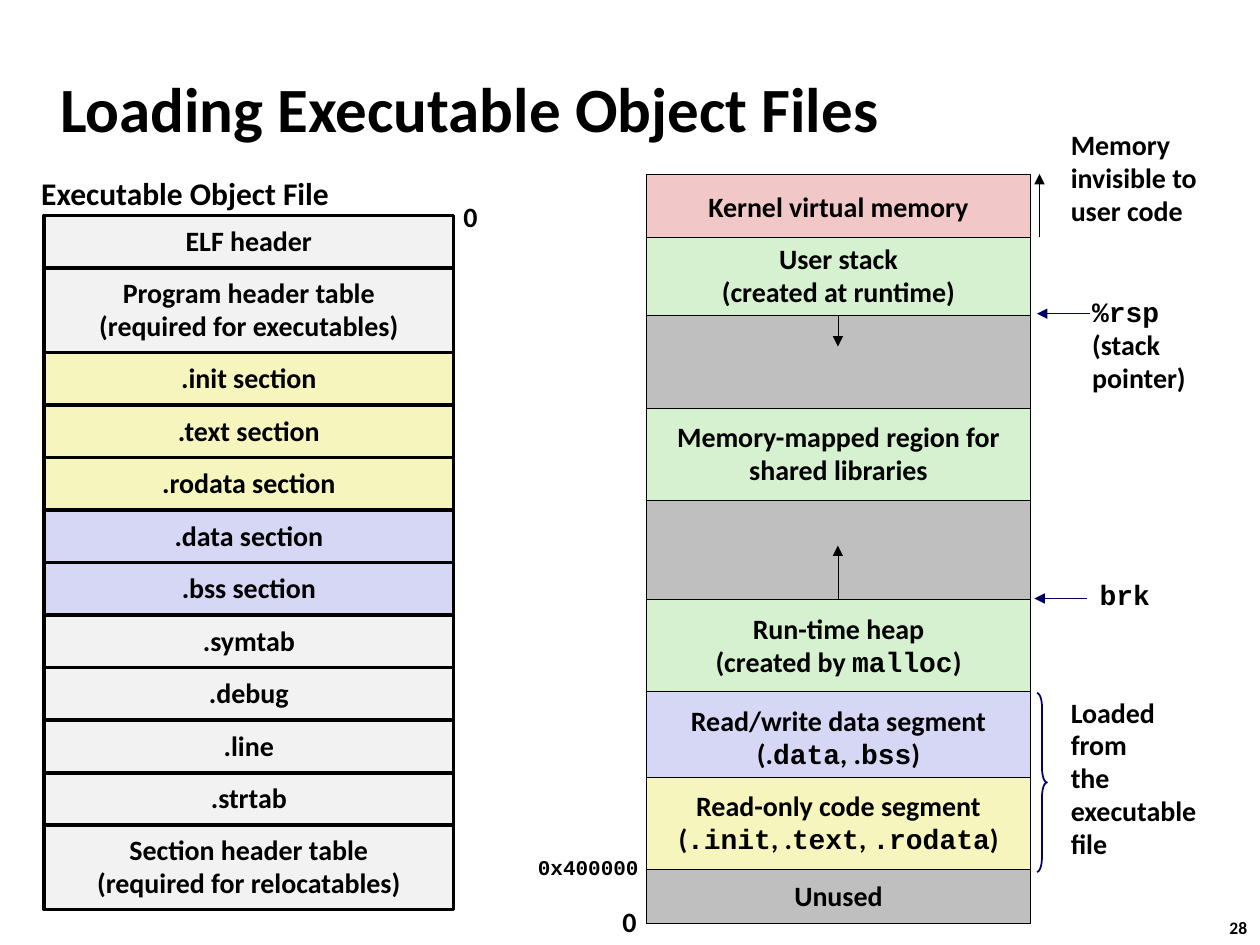
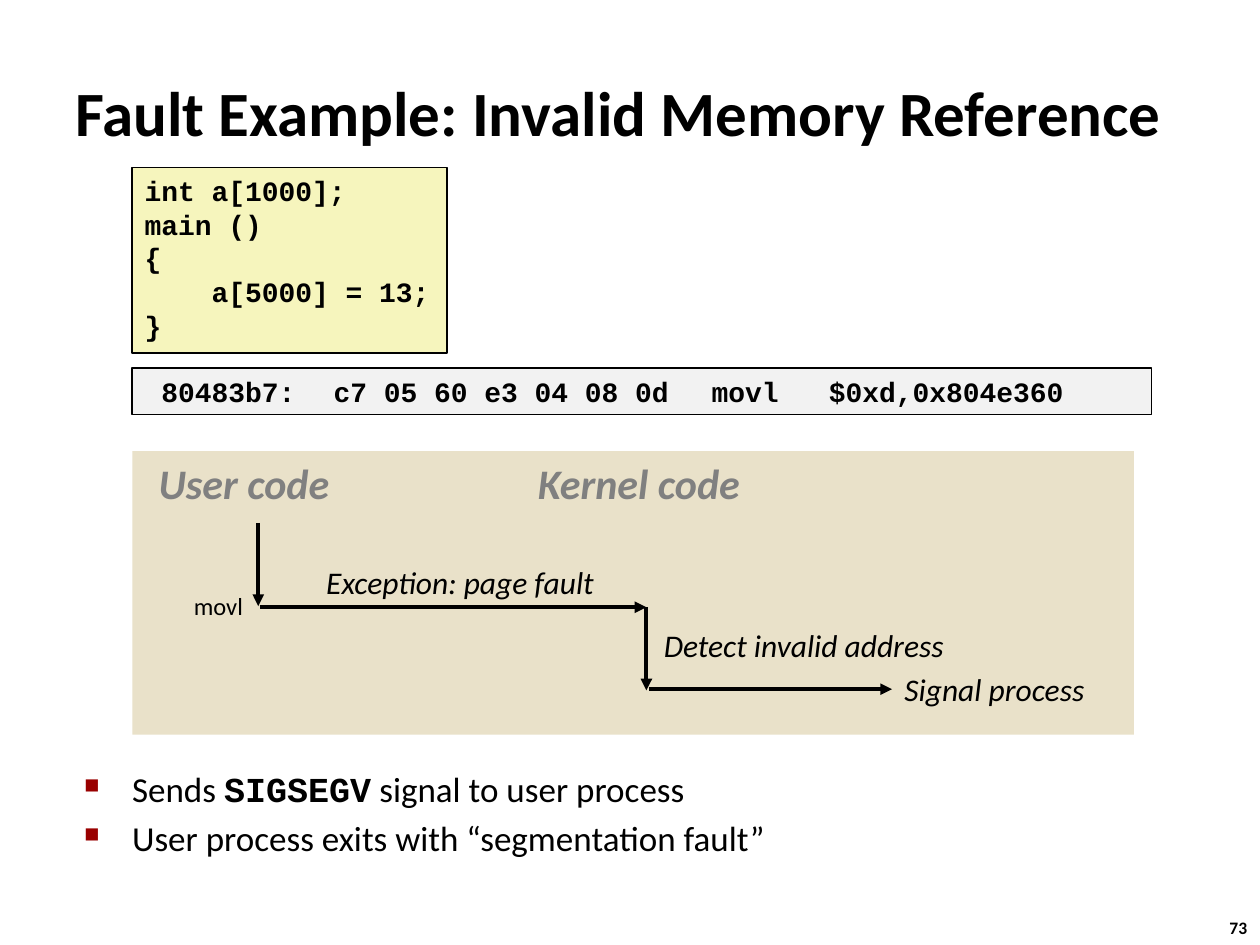
from dataclasses import dataclass, replace
from typing import NamedTuple

from lxml import etree
from pptx import Presentation
from pptx.dml.color import RGBColor
from pptx.enum.shapes import MSO_CONNECTOR, MSO_SHAPE
from pptx.enum.text import MSO_ANCHOR, MSO_AUTO_SIZE, PP_ALIGN
from pptx.oxml.ns import qn
from pptx.util import Inches, Pt


@dataclass(frozen=True)
class Theme:
    sans: str = "Calibri"
    mono: str = "Courier New"
    black: str = "000000"
    navy: str = "000066"
    muted: str = "808080"
    bullet: str = "990000"
    light: str = "F2F2F2"
    gray: str = "BFBFBF"
    yellow: str = "F6F5BD"
    blue: str = "D6D6F5"
    green: str = "D5F1CF"
    red: str = "F1C7C7"
    tan: str = "E9E1C9"
    title: int = 36
    heading: int = 24
    body: int = 20
    caption: int = 18
    label: int = 16
    small: int = 14
    address: int = 12
    footer: int = 10


T = Theme()


@dataclass(frozen=True)
class Style:
    size: int = T.label
    font: str = T.sans
    color: str = T.black
    bold: bool = True
    italic: bool = False
    align: PP_ALIGN = PP_ALIGN.LEFT
    spacing: float = 1.0


TITLE = Style(T.title)
FOOTER = Style(T.footer)
LABEL = Style(spacing=0.98)
CELL = replace(LABEL, align=PP_ALIGN.CENTER)
CODE = Style(font=T.mono)
HEADING = Style(T.heading, color=T.muted, italic=True)
STEP = Style(T.caption, bold=False, italic=True)
BODY = Style(T.body, bold=False)


class Box(NamedTuple):
    left: float
    top: float
    width: float
    height: float


class Section(NamedTuple):
    text: str
    fill: str
    height: float


class Region(NamedTuple):
    top: float
    height: float
    fill: str
    text: str = ""


class Label(NamedTuple):
    box: Box
    text: str
    style: Style = LABEL
    wrap: bool = False


class Arrow(NamedTuple):
    x1: float
    y1: float
    x2: float
    y2: float
    color: str = T.black
    width: float = 0.25


def rgb(value: str) -> RGBColor:
    return RGBColor.from_string(value)


def write(tf, text: str, style: Style) -> None:
    """Lines are split on newlines; backticks switch to bold mono text."""
    for i, line in enumerate(text.split("\n")):
        p = tf.paragraphs[0] if i == 0 else tf.add_paragraph()
        p.alignment = style.align
        mono_line = line.startswith("`") and style.spacing < 1
        p.line_spacing = 0.94 if mono_line else style.spacing
        for j, part in enumerate(line.split("`")):
            if not part:
                continue
            mono = j % 2 == 1
            r = p.add_run()
            r.text = part
            r.font.name = T.mono if mono else style.font
            r.font.size = Pt(style.size)
            r.font.bold = style.bold or mono
            r.font.italic = style.italic
            r.font.color.rgb = rgb(style.color)


def add_text(slide, box: Box, text: str, style: Style,
             wrap: bool = False, grow: bool = True):
    sp = slide.shapes.add_textbox(*map(Inches, box))
    tf = sp.text_frame
    tf.word_wrap = wrap
    tf.auto_size = MSO_AUTO_SIZE.SHAPE_TO_FIT_TEXT if grow else MSO_AUTO_SIZE.NONE
    write(tf, text, style)
    return sp


def add_box(slide, box: Box, fill: str, line: float = 0, text: str = "",
            style: Style = CELL, anchor: MSO_ANCHOR = MSO_ANCHOR.MIDDLE) -> None:
    sp = slide.shapes.add_shape(MSO_SHAPE.RECTANGLE, *map(Inches, box))
    sp.shadow.inherit = False
    sp.fill.solid()
    sp.fill.fore_color.rgb = rgb(fill)
    if line:
        sp.line.color.rgb = rgb(T.black)
        sp.line.width = Pt(line)
    else:
        sp.line.fill.background()
    if text:
        tf = sp.text_frame
        tf.word_wrap = False
        tf.vertical_anchor = anchor
        write(tf, text, style)


def add_arrow(slide, a: Arrow) -> None:
    cn = slide.shapes.add_connector(
        MSO_CONNECTOR.STRAIGHT, *map(Inches, (a.x1, a.y1, a.x2, a.y2)))
    cn.line.color.rgb = rgb(a.color)
    cn.line.width = Pt(a.width)
    etree.SubElement(cn.line._get_or_add_ln(), qn("a:tailEnd"), type="triangle")
    etree.SubElement(cn._element.spPr, qn("a:effectLst"))


def add_bullets(slide, box: Box, text: str) -> None:
    sp = add_text(slide, box, text, BODY, wrap=True, grow=False)
    for i, p in enumerate(sp.text_frame.paragraphs):
        if i:
            p.space_before = Pt(4)
        pPr = p._p.get_or_add_pPr()
        pPr.set("marL", str(Inches(0.38)))
        pPr.set("indent", str(-Inches(0.38)))
        color = etree.SubElement(pPr, qn("a:buClr"))
        etree.SubElement(color, qn("a:srgbClr"), val=T.bullet)
        etree.SubElement(pPr, qn("a:buSzPct"), val="60000")
        etree.SubElement(pPr, qn("a:buChar"), char="■")


def new_slide(prs, title: str, title_box: Box, number: int):
    slide = prs.slides.add_slide(prs.slide_layouts[6])
    add_text(slide, Box(9.66, 7.23, 0.37, 0.27), str(number), FOOTER)
    sp = add_text(slide, title_box, title, TITLE, wrap=True, grow=False)
    sp.text_frame.vertical_anchor = MSO_ANCHOR.MIDDLE
    return slide


ROW, TALL_ROW = 0.417, 0.67
FILE_SECTIONS = [
    Section("ELF header", T.light, ROW),
    Section("Program header table\n(required for executables)", T.light, TALL_ROW),
    *(Section(f".{name} section", T.yellow, ROW) for name in ("init", "text", "rodata")),
    *(Section(f".{name} section", T.blue, ROW) for name in ("data", "bss")),
    *(Section(f".{name}", T.light, ROW) for name in ("symtab", "debug", "line", "strtab")),
    Section("Section header table\n(required for relocatables)", T.light, TALL_ROW),
]
MEMORY_REGIONS = [
    Region(1.38, 0.53, T.red, "Kernel virtual memory"),
    Region(2.25, 0.99, T.gray),
    Region(1.88, 0.62, T.green, "User stack\n(created at runtime)"),
    Region(3.24, 0.73, T.green, "Memory-mapped region for\nshared libraries"),
    Region(3.97, 0.79, T.gray),
    Region(4.76, 0.73, T.green, "Run-time heap\n(created by `malloc`)"),
    Region(5.49, 0.73, T.blue, "Read/write data segment\n(.`data`, .`bss`)"),
    Region(6.17, 0.73, T.yellow,
           "Read-only code segment\n(`.init`, .`text`, `.rodata`)"),
    Region(6.9, 0.43, T.gray, "Unused"),
]
MEMORY_LABELS = [
    Label(Box(3.58, 1.55, 0.31, 0.37), "0"),
    Label(Box(0.22, 1.35, 2.5, 0.4), "Executable Object File",
          replace(CELL, size=T.caption)),
    Label(Box(4.84, 7.14, 0.31, 0.37), "0"),
    Label(Box(4.17, 6.75, 1.01, 0.3), "`0x400000`", replace(LABEL, size=T.address)),
    Label(Box(8.4, 0.98, 1.44, 0.9), "Memory\ninvisible to user code", wrap=True),
    Label(Box(8.57, 2.31, 0.95, 0.88), "`%rsp`\n(stack\npointer)"),
    Label(Box(8.63, 4.56, 0.6, 0.36), "`brk`"),
    Label(Box(8.4, 5.48, 1.26, 1.42), "Loaded\nfrom\nthe\nexecutable\nfile"),
]
MEMORY_ARROWS = [
    Arrow(6.65, 4.75, 6.65, 4.33),
    Arrow(6.65, 2.5, 6.65, 2.75),
    Arrow(8.25, 1.88, 8.25, 1.38),
    Arrow(8.65, 2.49, 8.23, 2.49, T.navy),
    Arrow(8.63, 4.75, 8.21, 4.75, T.navy),
]
FAULT_LABELS = [
    Label(Box(1.16, 3.58, 1.65, 0.5), "User code", HEADING),
    Label(Box(4.17, 3.58, 1.91, 0.5), "Kernel code", HEADING),
    Label(Box(2.49, 4.42, 2.42, 0.4), "Exception: page fault", STEP),
    Label(Box(5.17, 4.92, 2.5, 0.4), "Detect invalid address", STEP, True),
    Label(Box(1.44, 4.64, 0.6, 0.34), "movl", Style(T.small, bold=False)),
    Label(Box(7.08, 5.27, 1.75, 0.4), "Signal process", STEP, True),
]
FAULT_ARROWS = [
    Arrow(*ends, width=2.25) for ends in (
        (2.05, 4.15, 2.05, 4.81),
        (2.06, 4.82, 5.13, 4.82),
        (5.13, 4.82, 5.13, 5.48),
        (5.15, 5.47, 7.08, 5.47),
    )
]
C_SOURCE = "int a[1000];\nmain ()\n{\n    a[5000] = 13;\n}"
ASSEMBLY = " 80483b7:\tc7 05 60 e3 04 08 0d \tmovl   $0xd,0x804e360"


def annotate(slide, labels: list[Label], arrows: list[Arrow]) -> None:
    for label in labels:
        add_text(slide, *label)
    for arrow in arrows:
        add_arrow(slide, arrow)


def build_loading(prs) -> None:
    slide = new_slide(prs, "Loading Executable Object Files",
                      Box(0.38, 0.42, 9.53, 0.86), 28)
    top = 1.71
    for section in FILE_SECTIONS:
        add_box(slide, Box(0.35, top, 3.25, section.height), section.fill, 2, section.text)
        top += section.height
    for region in MEMORY_REGIONS:
        add_box(slide, Box(5.13, region.top, 3.05, region.height),
                region.fill, 0.25, region.text)
    annotate(slide, MEMORY_LABELS, MEMORY_ARROWS)
    brace = slide.shapes.add_shape(
        MSO_SHAPE.RIGHT_BRACE, *map(Inches, Box(8.23, 5.5, 0.08, 1.42)))
    brace.shadow.inherit = False
    brace.adjustments[0] = 1.42
    brace.adjustments[1] = 0.5
    brace.fill.background()
    brace.line.color.rgb = rgb(T.navy)
    brace.line.width = Pt(1)


def build_fault(prs) -> None:
    slide = new_slide(prs, "Fault Example: Invalid Memory Reference",
                      Box(0.5, 0.58, 9.5, 0.61), 73)
    add_bullets(slide, Box(0.57, 6.04, 7.33, 0.96),
                "Sends `SIGSEGV` signal to user process\n"
                "User process exits with “segmentation fault”")
    add_box(slide, Box(1.05, 1.33, 2.5, 1.47), T.yellow, 1, C_SOURCE, CODE, MSO_ANCHOR.TOP)
    add_box(slide, Box(1.05, 2.92, 8.09, 0.37), T.light, 1, ASSEMBLY, CODE, MSO_ANCHOR.TOP)
    add_box(slide, Box(1.05, 3.58, 7.95, 2.25), T.tan)
    annotate(slide, FAULT_LABELS, FAULT_ARROWS)


def main() -> None:
    prs = Presentation()
    prs.slide_width, prs.slide_height = Inches(10), Inches(7.5)
    build_loading(prs)
    build_fault(prs)
    prs.save("out.pptx")


if __name__ == "__main__":
    main()
